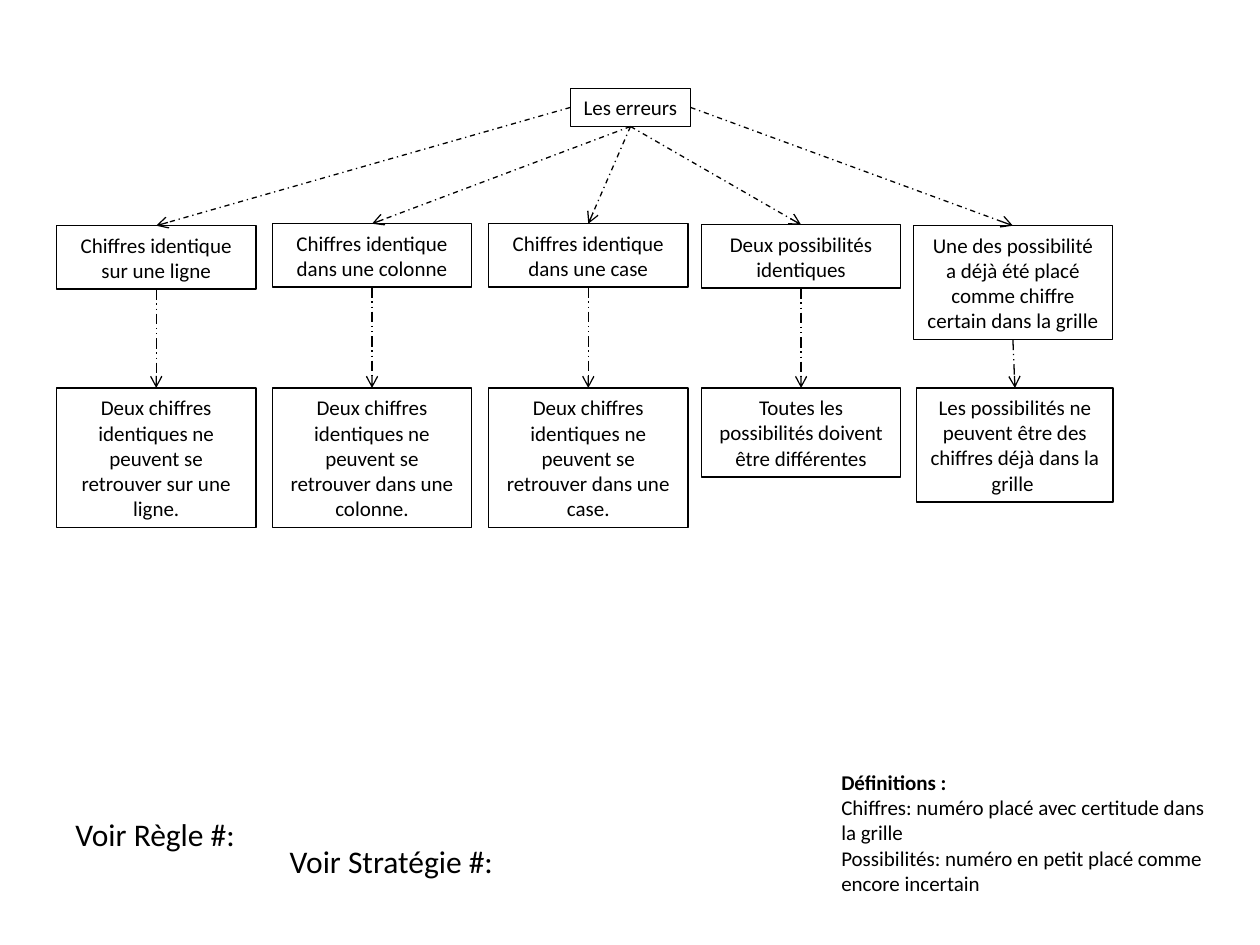
from dataclasses import dataclass

from lxml import etree
from pptx import Presentation
from pptx import util as u
from pptx.dml.color import RGBColor
from pptx.enum import dml, shapes, text
from pptx.oxml.ns import qn

BLACK = RGBColor(0, 0, 0)
FONT = "Calibri"
WIDE = 4.02
ROW = 7.82
TOP, LEFT, BASE, RIGHT = range(4)
DASH = dml.MSO_LINE.DASH_DOT
LONG = dml.MSO_LINE.DASH_DOT_DOT


@dataclass
class Box:
    """A text with its place in centimetres."""
    words: str
    x: float
    y: float
    w: float
    h: float


@dataclass
class Branch:
    """An error, its rule and the side of the root it leaves from."""
    error: Box
    rule: Box
    side: int


ROOT = Box("Les erreurs", 11.5, 1.78, 2.42, 0.77)
TWIN = "Deux chiffres identiques ne peuvent se retrouver "
BRANCHES = [
    Branch(Box("Chiffres identique sur une ligne", 1.14, 4.55, WIDE, 1.28),
           Box(TWIN + "sur une ligne.", 1.14, ROW, WIDE, 2.82), LEFT),
    Branch(Box("Chiffres identique dans une colonne", 5.49, 4.51, WIDE, 1.28),
           Box(TWIN + "dans une colonne.", 5.49, ROW, WIDE, 2.82), BASE),
    Branch(Box("Chiffres identique dans une case", 9.85, 4.51, WIDE, 1.28),
           Box(TWIN + "dans une case.", 9.85, ROW, WIDE, 2.82), BASE),
    Branch(Box("Deux possibilités identiques", 14.14, 4.53, WIDE, 1.28),
           Box("Toutes les possibilités doivent être différentes",
               14.14, ROW, WIDE, 1.8), BASE),
    Branch(Box("Une des possibilité a déjà été placé comme chiffre certain "
               "dans la grille", 18.41, 4.55, WIDE, 2.3),
           Box("Les possibilités ne peuvent être des chiffres déjà dans la "
               "grille ", 18.48, ROW, 3.96, 2.3), RIGHT),
]
LINKS = [Box("Voir Règle #:", 1.27, 16.31, 3.78, 1.02),
         Box("Voir Stratégie #:", 5.59, 16.84, 4.67, 1.02)]
TERMS = Box("Définitions :\n"
            "Chiffres: numéro placé avec certitude dans la grille\n"
            "Possibilités: numéro en petit placé comme encore incertain",
            16.71, 15.39, 8.2, 2.82)


def place(box: Box) -> tuple:
    """Return left, top, width and height of a box."""
    return tuple(u.Cm(n) for n in (box.x, box.y, box.w, box.h))


def write(shape, words: str, size: int, align, wrap: bool = True) -> None:
    """Fill a shape with text in one style."""
    frame = shape.text_frame
    frame.text = words
    frame.word_wrap = wrap
    frame.auto_size = text.MSO_AUTO_SIZE.SHAPE_TO_FIT_TEXT
    for par in frame.paragraphs:
        par.alignment = align
        for run in par.runs:
            run.font.name = FONT
            run.font.size = u.Pt(size)
            run.font.color.rgb = BLACK


def node(slide, box: Box, wrap: bool = True):
    """Draw an outlined box of the tree."""
    shape = slide.shapes.add_shape(shapes.MSO_SHAPE.RECTANGLE, *place(box))
    shape.shadow.inherit = False
    shape.fill.background()
    shape.line.color.rgb = BLACK
    shape.line.width = u.Pt(0.75)
    write(shape, box.words, 12, text.PP_ALIGN.CENTER, wrap)
    return shape


def note(slide, box: Box, size: int, wrap: bool):
    """Draw a plain text box."""
    shape = slide.shapes.add_textbox(*place(box))
    write(shape, box.words, size, text.PP_ALIGN.LEFT, wrap)
    return shape


def arrow(slide, start, side: int, end, dash) -> None:
    """Join a side of one box to the top of another."""
    line = slide.shapes.add_connector(shapes.MSO_CONNECTOR.STRAIGHT, 0, 0, 0, 0)
    line.begin_connect(start, side)
    line.end_connect(end, TOP)
    line.line.color.rgb = BLACK
    line.line.width = u.Pt(0.75)
    line.line.dash_style = dash
    props = line.element.spPr
    etree.SubElement(props.find(qn("a:ln")), qn("a:tailEnd"), type="arrow")
    etree.SubElement(props, qn("a:effectLst"))


def main() -> None:
    """Build the slide and save it."""
    deck = Presentation()
    deck.slide_width, deck.slide_height = u.Cm(25.4), u.Cm(19.05)
    slide = deck.slides.add_slide(deck.slide_layouts[6])
    root = node(slide, ROOT, wrap=False)
    for branch in BRANCHES:
        error = node(slide, branch.error)
        rule = node(slide, branch.rule)
        arrow(slide, root, branch.side, error, DASH)
        arrow(slide, error, BASE, rule, LONG)
    for link in LINKS:
        note(slide, link, 18, wrap=False)
    terms = note(slide, TERMS, 12, wrap=True)
    terms.text_frame.paragraphs[0].runs[0].font.bold = True
    deck.save("out.pptx")


main()
